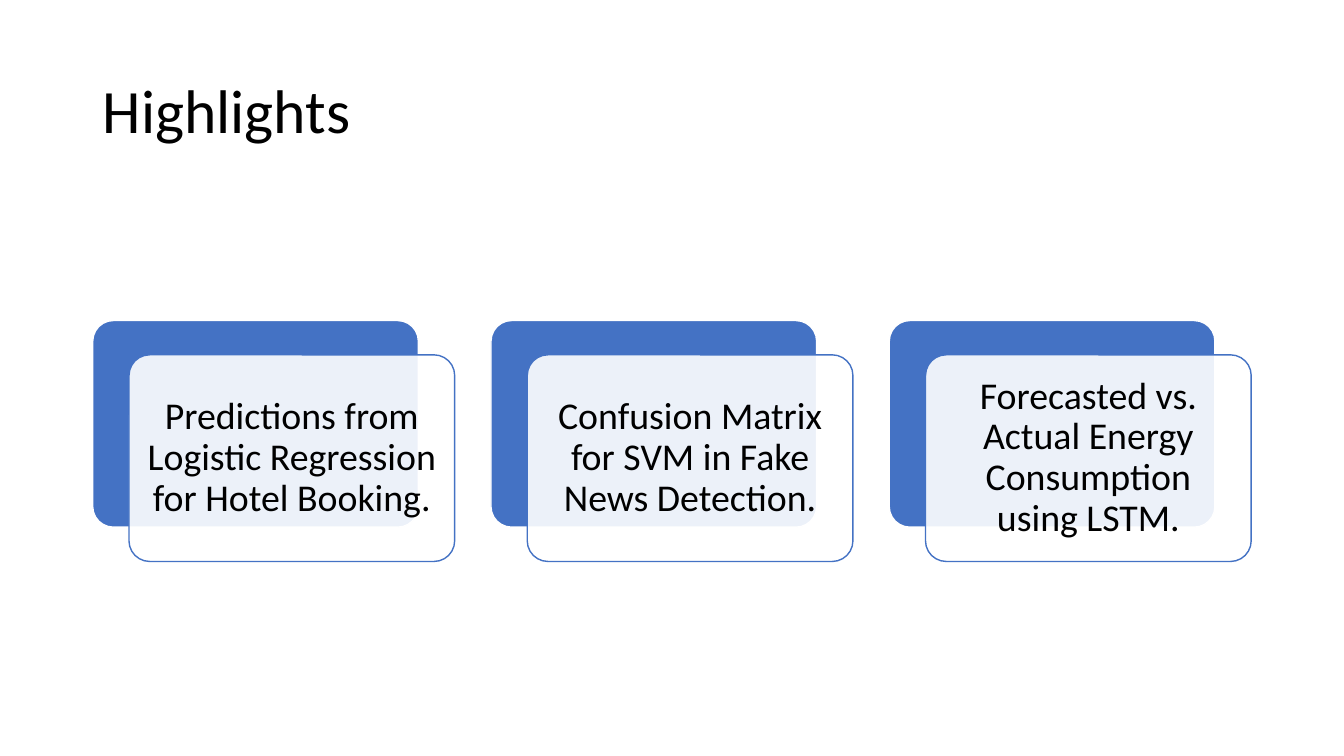
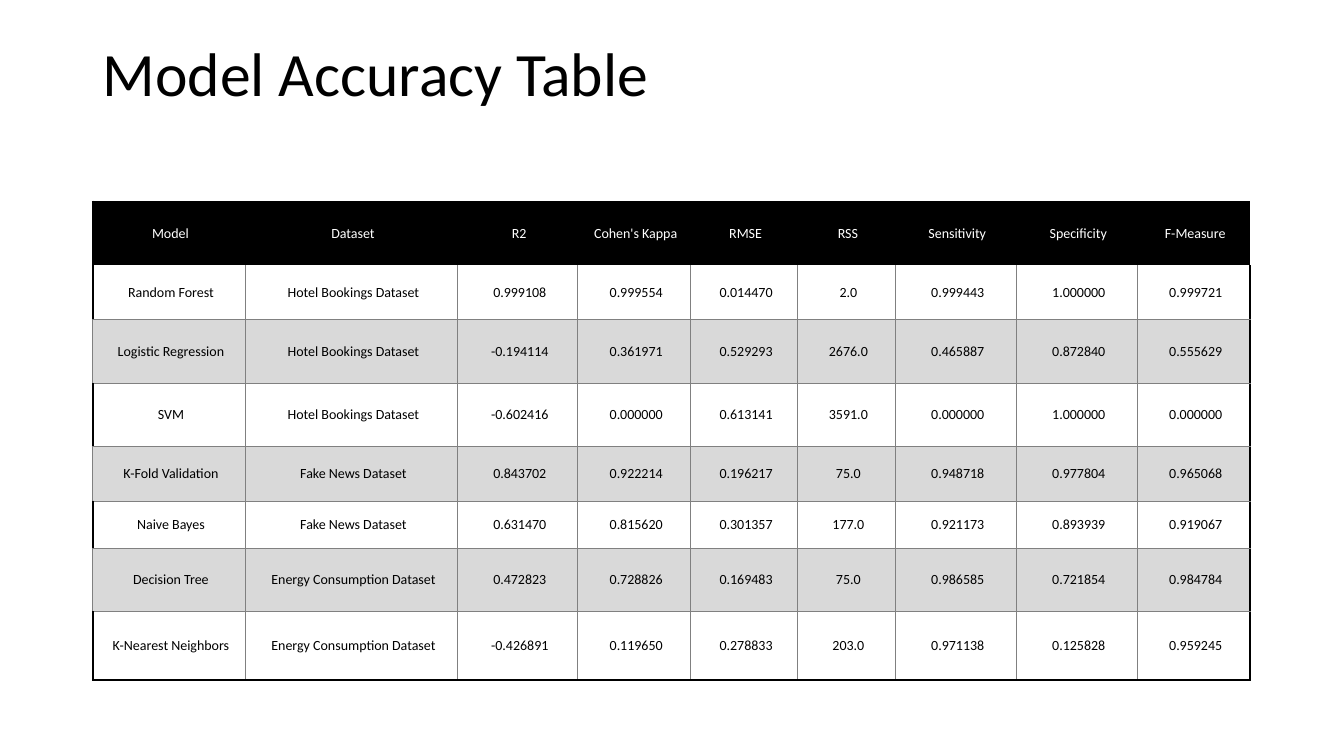
from lxml.etree import SubElement
from pptx import Presentation
from pptx.dml.color import RGBColor
from pptx.enum.shapes import MSO_SHAPE
from pptx.enum.text import MSO_ANCHOR, PP_ALIGN
from pptx.oxml.ns import qn
from pptx.util import Inches, Pt

COLORS = {
    "black": "000000",
    "white": "FFFFFF",
    "blue": "4472C4",
    "band": "D9D9D9",
    "grid": "808080",
}
FONT = "Calibri"
NO_STYLE_NO_GRID = "{2D5ABB26-0587-4C30-8999-92F81FD0307C}"
LEFT, CONTENT_WIDTH = 0.92, 11.5


def write_text(frame, text, size, color="black", align=PP_ALIGN.LEFT, spacing=1.0):
    frame.word_wrap = True
    paragraph = frame.paragraphs[0]
    paragraph.alignment = align
    paragraph.line_spacing = spacing
    run = paragraph.add_run()
    run.text = text
    run.font.name = FONT
    run.font.size = Pt(size)
    run.font.color.rgb = RGBColor.from_string(COLORS[color])


def set_borders(cell, borders):
    """Draw borders given as {side: (color, points)}; call before filling the cell."""
    properties = cell._tc.get_or_add_tcPr()
    for side in "LRTB":
        if side in borders:
            color, points = borders[side]
            line = SubElement(properties, qn(f"a:ln{side}"), w=str(Pt(points)))
            fill = SubElement(line, qn("a:solidFill"))
            SubElement(fill, qn("a:srgbClr"), val=COLORS[color])


presentation = Presentation()
presentation.slide_width = Inches(13.33)
presentation.slide_height = Inches(7.5)

# Slides and titles; the bottom margin lifts the second title above the table
slides = []
for title, bottom_margin in [("Highlights", 0.05), ("Model Accuracy Table", 0.78)]:
    slide = presentation.slides.add_slide(presentation.slide_layouts[6])
    title_box = slide.shapes.add_textbox(
        Inches(LEFT), Inches(0.4), Inches(CONTENT_WIDTH), Inches(1.45)
    )
    title_box.text_frame.vertical_anchor = MSO_ANCHOR.MIDDLE
    title_box.text_frame.margin_bottom = Inches(bottom_margin)
    write_text(title_box.text_frame, title, 44, spacing=0.9)
    slides.append(slide)
highlights_slide, accuracy_slide = slides

# Highlights: a translucent card in front of each blue plate
HIGHLIGHTS = [
    "Predictions from Logistic Regression for Hotel Booking.",
    "Confusion Matrix for SVM in Fake News Detection.",
    "Forecasted vs. Actual Energy Consumption using LSTM.",
]
CARD_WIDTH, CARD_HEIGHT, CARD_STEP = 3.23, 2.05, 3.95
CARD_LAYERS = [(0, 3.18, "blue", "white"), (0.36, 3.52, "white", "blue")]

for index, highlight in enumerate(HIGHLIGHTS):
    for shift, top, fill_color, line_color in CARD_LAYERS:
        card = highlights_slide.shapes.add_shape(
            MSO_SHAPE.ROUNDED_RECTANGLE,
            Inches(LEFT + index * CARD_STEP + shift),
            Inches(top),
            Inches(CARD_WIDTH),
            Inches(CARD_HEIGHT),
        )
        card.shadow.inherit = False
        card.adjustments[0] = 0.1
        card.fill.solid()
        card.fill.fore_color.rgb = RGBColor.from_string(COLORS[fill_color])
        card.line.color.rgb = RGBColor.from_string(COLORS[line_color])
        card.line.width = Pt(1)

    # The last layer is the front card, which holds the text
    front_color = card._element.spPr.find(qn("a:solidFill")).find(qn("a:srgbClr"))
    SubElement(front_color, qn("a:alpha"), val="90000")
    frame = card.text_frame
    frame.vertical_anchor = MSO_ANCHOR.MIDDLE
    frame.margin_left = frame.margin_right = Inches(0.11)
    frame.margin_top = frame.margin_bottom = Inches(0.11)
    write_text(frame, highlight, 27, align=PP_ALIGN.CENTER, spacing=0.9)

# Model accuracy table
HOTEL = "Hotel Bookings Dataset"
NEWS = "Fake News Dataset"
ENERGY = "Energy Consumption Dataset"
ROWS = [
    ("Model", "Dataset", "R2", "Cohen's Kappa", "RMSE", "RSS",
     "Sensitivity", "Specificity", "F-Measure"),
    ("Random Forest", HOTEL, "0.999108", "0.999554", "0.014470", "2.0",
     "0.999443", "1.000000", "0.999721"),
    ("Logistic Regression", HOTEL, "-0.194114", "0.361971", "0.529293", "2676.0",
     "0.465887", "0.872840", "0.555629"),
    ("SVM", HOTEL, "-0.602416", "0.000000", "0.613141", "3591.0",
     "0.000000", "1.000000", "0.000000"),
    ("K-Fold Validation", NEWS, "0.843702", "0.922214", "0.196217", "75.0",
     "0.948718", "0.977804", "0.965068"),
    ("Naive Bayes", NEWS, "0.631470", "0.815620", "0.301357", "177.0",
     "0.921173", "0.893939", "0.919067"),
    ("Decision Tree", ENERGY, "0.472823", "0.728826", "0.169483", "75.0",
     "0.986585", "0.721854", "0.984784"),
    ("K-Nearest Neighbors", ENERGY, "-0.426891", "0.119650", "0.278833", "203.0",
     "0.971138", "0.125828", "0.959245"),
]
COLUMN_WIDTHS = [1.51, 2.11, 1.19, 1.12, 1.06, 0.97, 1.2, 1.2, 1.12]
ROW_HEIGHTS = [0.63, 0.54, 0.63, 0.63, 0.54, 0.47, 0.63, 0.68]
THICK, THIN = ("black", 1.5), ("grid", 0.5)
last_row, last_column = len(ROWS) - 1, len(COLUMN_WIDTHS) - 1

table_frame = accuracy_slide.shapes.add_table(
    len(ROWS), len(COLUMN_WIDTHS),
    Inches(LEFT), Inches(2), Inches(CONTENT_WIDTH), Inches(4.76),
)
table = table_frame.table
table.first_row = table.horz_banding = False
table._tbl.tblPr.find(qn("a:tableStyleId")).text = NO_STYLE_NO_GRID
for column, width in zip(table.columns, COLUMN_WIDTHS):
    column.width = Inches(width)
for row, height in zip(table.rows, ROW_HEIGHTS):
    row.height = Inches(height)

for row_index, values in enumerate(ROWS):
    is_header = row_index == 0
    is_band = not is_header and row_index % 2 == 0
    for column_index, value in enumerate(values):
        cell = table.cell(row_index, column_index)
        is_first, is_last = column_index == 0, column_index == last_column
        if is_header:
            borders = {"T": THICK}
            if is_first:
                borders["L"] = THICK
        else:
            borders = {
                "L": THICK if is_first and not is_band else THIN,
                "R": THICK if is_last else THIN,
            }
            if is_band:
                borders["T"] = THIN
            else:
                borders["B"] = THICK if row_index == last_row else THIN
        set_borders(cell, borders)

        if is_header or is_band:
            cell.fill.solid()
            fill_color = COLORS["black" if is_header else "band"]
            cell.fill.fore_color.rgb = RGBColor.from_string(fill_color)
        else:
            cell.fill.background()
        cell.vertical_anchor = MSO_ANCHOR.MIDDLE
        cell.margin_left = Inches(0.1)
        cell.margin_right = Inches(0.07 if is_header else 0.06)
        cell.margin_top = cell.margin_bottom = Inches(0.07)
        text_color = "white" if is_header else "black"
        write_text(cell.text_frame, value, 10, color=text_color, align=PP_ALIGN.CENTER)

presentation.save("out.pptx")
